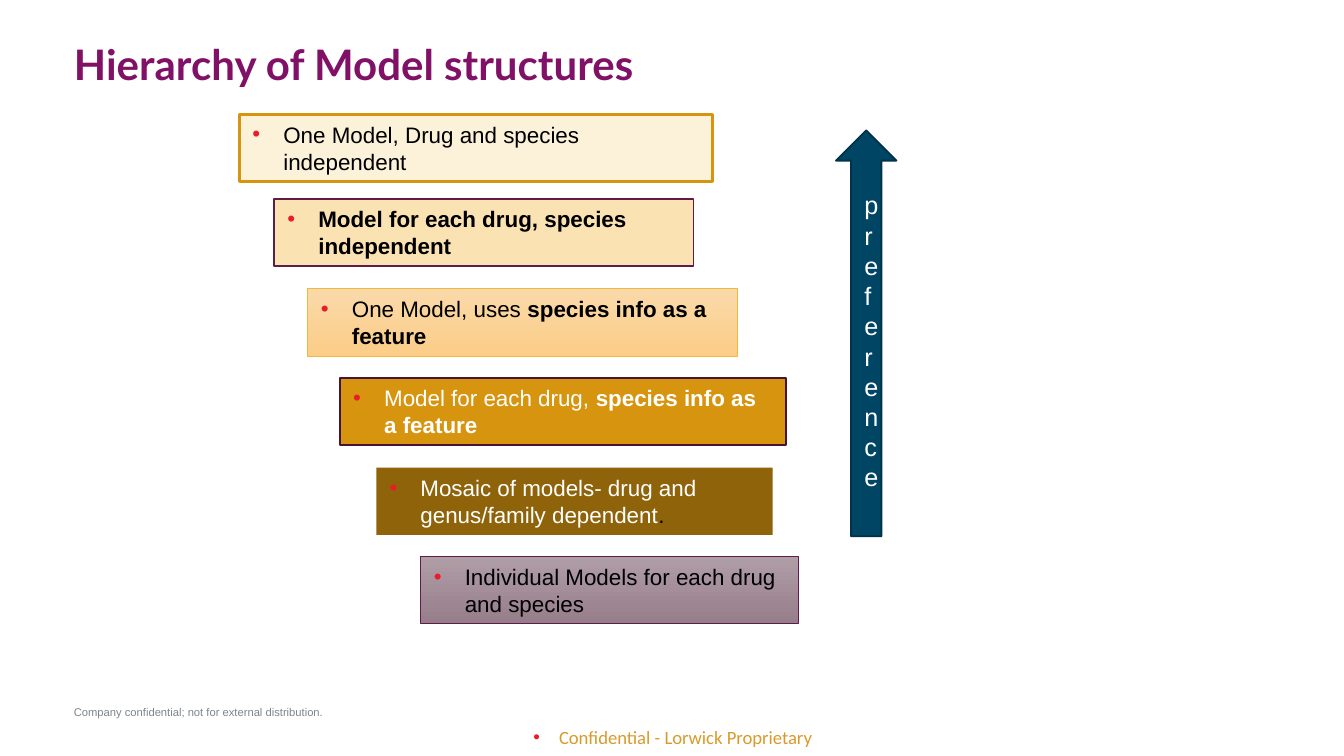
from pptx import Presentation
from pptx.dml.color import RGBColor
from pptx.enum.shapes import MSO_SHAPE
from pptx.enum.text import MSO_ANCHOR, MSO_AUTO_SIZE, PP_ALIGN
from pptx.oxml.ns import qn
from pptx.util import Inches, Pt
from lxml import etree

COLORS = {
    "title": "811167", "notice": "7C858C", "footer": "D89B2B",
    "bullet": "EA1C2C", "dark": "000000", "light": "FFFFFF",
    "arrow": "004564", "arrow_edge": "00334A",
    "cream": "FCF1D9", "sand": "FAE2B3", "gold": "D7940F", "brown": "8F630A",
    "peach_top": "FAD9A9", "peach_bottom": "FBCD87", "peach_edge": "F2B740",
    "mauve_top": "B09EA7", "mauve_bottom": "967D8A",
    "plum": "611B49", "deep_plum": "481436",
}

LEVELS = [
    (1.78, 0.85, 3.52, ["cream"], ("gold", 1.5), "dark",
     [("One Model, Drug and species independent", False)]),
    (2.04, 1.48, 3.12, ["sand"], ("plum", 1), "dark",
     [("Model for each drug, species independent", True)]),
    (2.29, 2.15, 3.2, ["peach_top", "peach_bottom"], ("peach_edge", 0.5), "dark",
     [("One Model, uses ", False), ("species info as a feature", True)]),
    (2.53, 2.81, 3.32, ["gold"], ("deep_plum", 1), "light",
     [("Model for each drug, ", False), ("species info as a feature", True)]),
    (2.8, 3.48, 2.95, ["brown"], None, "light",
     [("Mosaic of models- drug and genus/family dependent", False), (".", False, "dark")]),
    (3.13, 4.14, 2.81, ["mauve_top", "mauve_bottom"], ("plum", 0.5), "dark",
     [("Individual Models for each drug and species", False)]),
]
LEVEL_HEIGHT = 0.5


def rgb(name):
    return RGBColor.from_string(COLORS[name])


def set_font(font, name, size, color, bold=False):
    font.name = name
    font.size = Pt(size)
    font.bold = bold
    font.color.rgb = rgb(color)


def add_bullet(paragraph, indent):
    properties = paragraph._p.get_or_add_pPr()
    properties.set("marL", str(Inches(indent)))
    properties.set("indent", str(-Inches(indent)))
    bullet_color = etree.SubElement(properties, qn("a:buClr"))
    etree.SubElement(bullet_color, qn("a:srgbClr"), val=COLORS["bullet"])
    etree.SubElement(properties, qn("a:buFont"), typeface="Arial")
    etree.SubElement(properties, qn("a:buChar"), char="•")


def add_label(slide, box, text, font, size, color, bold=False, bullet_indent=None):
    label = slide.shapes.add_textbox(*map(Inches, box))
    frame = label.text_frame
    frame.word_wrap = True
    frame.margin_left = frame.margin_right = frame.margin_top = frame.margin_bottom = 0
    paragraph = frame.paragraphs[0]
    paragraph.text = text
    if bullet_indent:
        add_bullet(paragraph, bullet_indent)
        paragraph.alignment = PP_ALIGN.CENTER
        frame.vertical_anchor = MSO_ANCHOR.MIDDLE
    set_font(paragraph.font, font, size, color, bold)
    return paragraph


def add_block(slide, preset, box, fills, edge):
    block = slide.shapes.add_shape(preset, *map(Inches, box))
    block.shadow.inherit = False
    if len(fills) == 1:
        block.fill.solid()
        block.fill.fore_color.rgb = rgb(fills[0])
    else:
        block.fill.gradient()
        block.fill.gradient_angle = 270
        for stop, color in zip(block.fill.gradient_stops, fills):
            stop.color.rgb = rgb(color)
    if edge:
        color, width = edge
        block.line.color.rgb = rgb(color)
        block.line.width = Pt(width)
    else:
        block.line.fill.background()
    return block


def add_level(slide, left, top, width, fills, edge, text_color, parts):
    level = add_block(slide, MSO_SHAPE.RECTANGLE,
                      (left, top, width, LEVEL_HEIGHT), fills, edge)
    frame = level.text_frame
    frame.vertical_anchor = MSO_ANCHOR.TOP
    frame.auto_size = MSO_AUTO_SIZE.SHAPE_TO_FIT_TEXT
    paragraph = frame.paragraphs[0]
    paragraph.alignment = PP_ALIGN.LEFT
    add_bullet(paragraph, 0.23)
    paragraph.font.name = "Arial"
    paragraph.font.size = Pt(12)
    for text, bold, *own_color in parts:
        run = paragraph.add_run()
        run.text = text
        run.font.bold = bold
        run.font.color.rgb = rgb(own_color[0] if own_color else text_color)


def add_preference_arrow(slide):
    arrow = add_block(slide, MSO_SHAPE.UP_ARROW, (6.22, 0.97, 0.45, 3.02),
                      ["arrow"], ("arrow_edge", 1))
    arrow.text_frame.vertical_anchor = MSO_ANCHOR.MIDDLE
    paragraph = arrow.text_frame.paragraphs[0]
    paragraph.text = "preference"
    paragraph.alignment = PP_ALIGN.CENTER
    set_font(paragraph.font, "Arial", 13.5, "light")


def main():
    deck = Presentation()
    deck.slide_width = Inches(10)
    deck.slide_height = Inches(10 * 9 / 16)
    slide = deck.slides.add_slide(deck.slide_layouts[6])

    add_label(slide, (3.86, 5.34, 2.29, 0.29), "Confidential - Lorwick Proprietary",
              "Calibri", 10, "footer", bullet_indent=0.19)
    add_label(slide, (0.55, 5.25, 3.64, 0.1),
              "Company confidential; not for external distribution.",
              "Arial", 6, "notice")
    title = add_label(slide, (0.55, 0.33, 8.95, 0.3), "Hierarchy of Model structures",
                      "Lato", 22.5, "title", bold=True)
    title.line_spacing = 0.9
    for level in LEVELS:
        add_level(slide, *level)
    add_preference_arrow(slide)
    deck.save("out.pptx")


if __name__ == "__main__":
    main()
